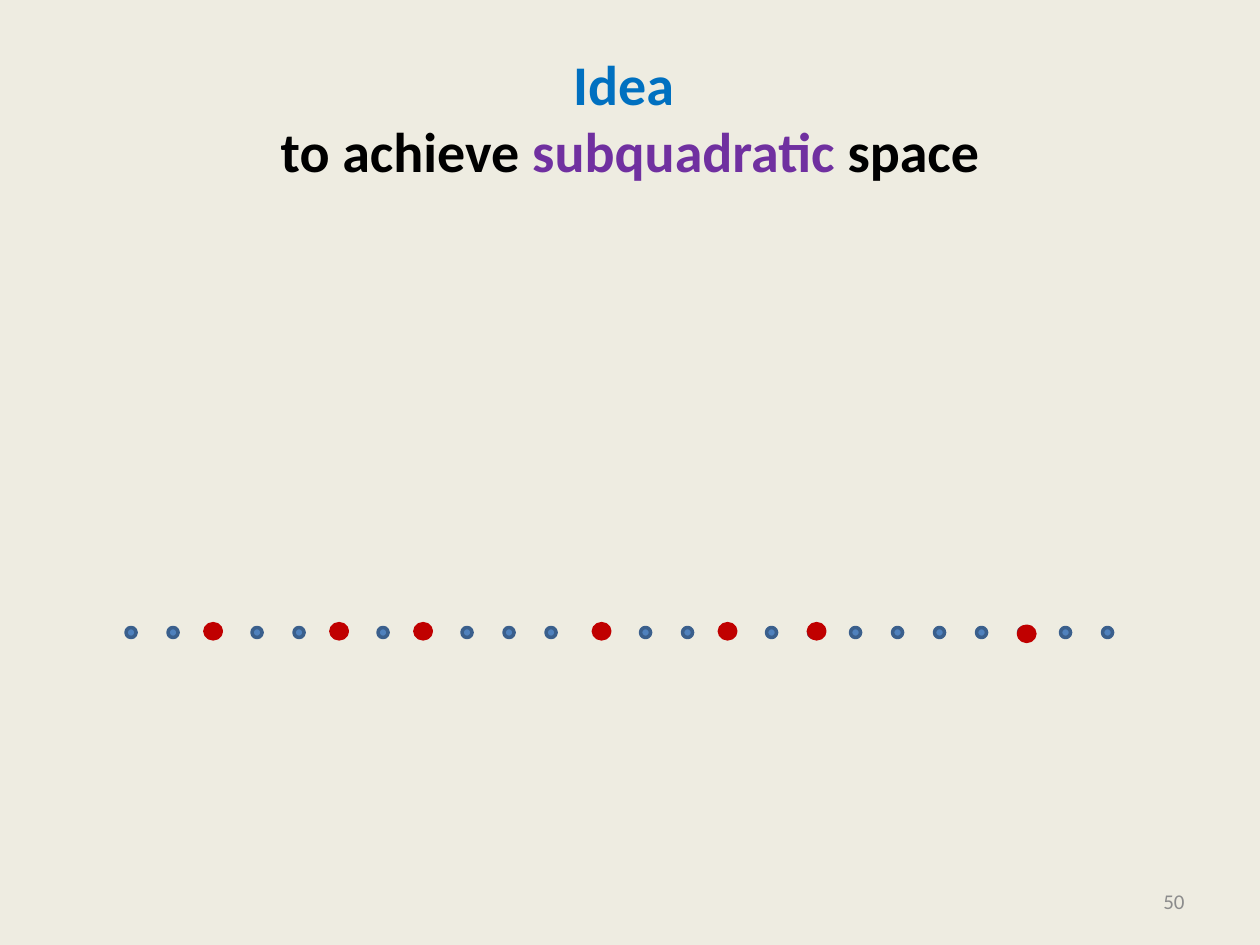
import copy
import pptx
import pptx.util
import pptx.dml.color
import pptx.enum.shapes
import pptx.enum.text

Inches, Pt = pptx.util.Inches, pptx.util.Pt
RGB = pptx.dml.color.RGBColor
ALIGN = pptx.enum.text.PP_ALIGN
MIDDLE = pptx.enum.text.MSO_ANCHOR.MIDDLE
OVAL = pptx.enum.shapes.MSO_SHAPE.OVAL

CREAM = RGB(0xEE, 0xEC, 0xE1)
SKY = RGB(0x00, 0x70, 0xC0)
BLACK = RGB(0x00, 0x00, 0x00)
PURPLE = RGB(0x70, 0x30, 0xA0)
GRAY = RGB(0x8C, 0x8C, 0x8C)
BLUE = RGB(0x4F, 0x81, 0xBD)
NAVY = RGB(0x3A, 0x5F, 0x8C)
RED = RGB(0xC0, 0x00, 0x00)

STEP = 1 / 3  # gap between neighbouring points
ROW = 4.98  # top of the row of points
DOT = 0.08


def style(run, size, color, bold=False):
    font = run.font
    font.name, font.size, font.bold = "Calibri", Pt(size), bold
    font.color.rgb = color


def place(shape, left, top, width, height):
    shape.left, shape.top = Inches(left), Inches(top)
    shape.width, shape.height = Inches(width), Inches(height)


def add_title(slide):
    title = slide.shapes.title
    place(title, 0.5, 0.3, 9, 1.25)
    title.text_frame.vertical_anchor = MIDDLE
    para = title.text_frame.paragraphs[0]
    para.alignment = ALIGN.CENTER
    para.text = "Idea \v"
    style(para.runs[0], 32, SKY, True)
    # The line break takes the size of the text before it
    mark = para.runs[0].font._rPr
    para._p.br_lst[0].append(copy.deepcopy(mark))
    for text, color in (("to achieve ", BLACK), ("subquadratic ", PURPLE),
                        ("space", BLACK)):
        run = para.add_run()
        run.text = text
        style(run, 32, color, True)


def add_number(slide, text):
    box = slide.shapes.add_textbox(Inches(7.17), Inches(6.95),
                                   Inches(2.33), Inches(0.4))
    frame = box.text_frame
    frame.word_wrap = True
    frame.vertical_anchor = MIDDLE
    frame.text = text
    para = frame.paragraphs[0]
    para.alignment = ALIGN.RIGHT
    style(para.runs[0], 12, GRAY)


def add_dot(shapes, left, top, width, height, fill, line):
    dot = shapes.add_shape(OVAL, Inches(left), Inches(top),
                           Inches(width), Inches(height))
    dot.shadow.inherit = False
    dot.fill.solid()
    dot.fill.fore_color.rgb = fill
    dot.line.color.rgb = line
    dot.line.width = Pt(2)


def add_row(slide, start, count):
    group = slide.shapes.add_group_shape()
    for i in range(count):
        add_dot(group.shapes, start + i * STEP, ROW, DOT, DOT, BLUE, NAVY)


def main():
    deck = pptx.Presentation()
    deck.slide_width, deck.slide_height = Inches(10), Inches(7.5)
    slide = deck.slides.add_slide(deck.slide_layouts[5])
    slide.background.fill.solid()
    slide.background.fill.fore_color.rgb = CREAM
    add_title(slide)
    add_number(slide, "50")

    # Two runs of evenly spaced points
    first, second = 1, 4.75
    add_row(slide, first, 11)
    add_row(slide, second, 13)

    # Sampled points: run start, index, shift from the point's corner
    picks = ((first, 2, -0.04, -0.03), (first, 5, -0.04, -0.03),
             (first, 7, -0.04, -0.03), (second, 3, -0.04, -0.03),
             (second, 0, -0.04, -0.03), (second, 5, 0, -0.03),
             (second, 10, 0, -0.01))
    for start, i, dx, dy in picks:
        add_dot(slide.shapes, start + i * STEP + dx, ROW + dy,
                0.13, 0.12, RED, RED)

    deck.save("out.pptx")


if __name__ == "__main__":
    main()
